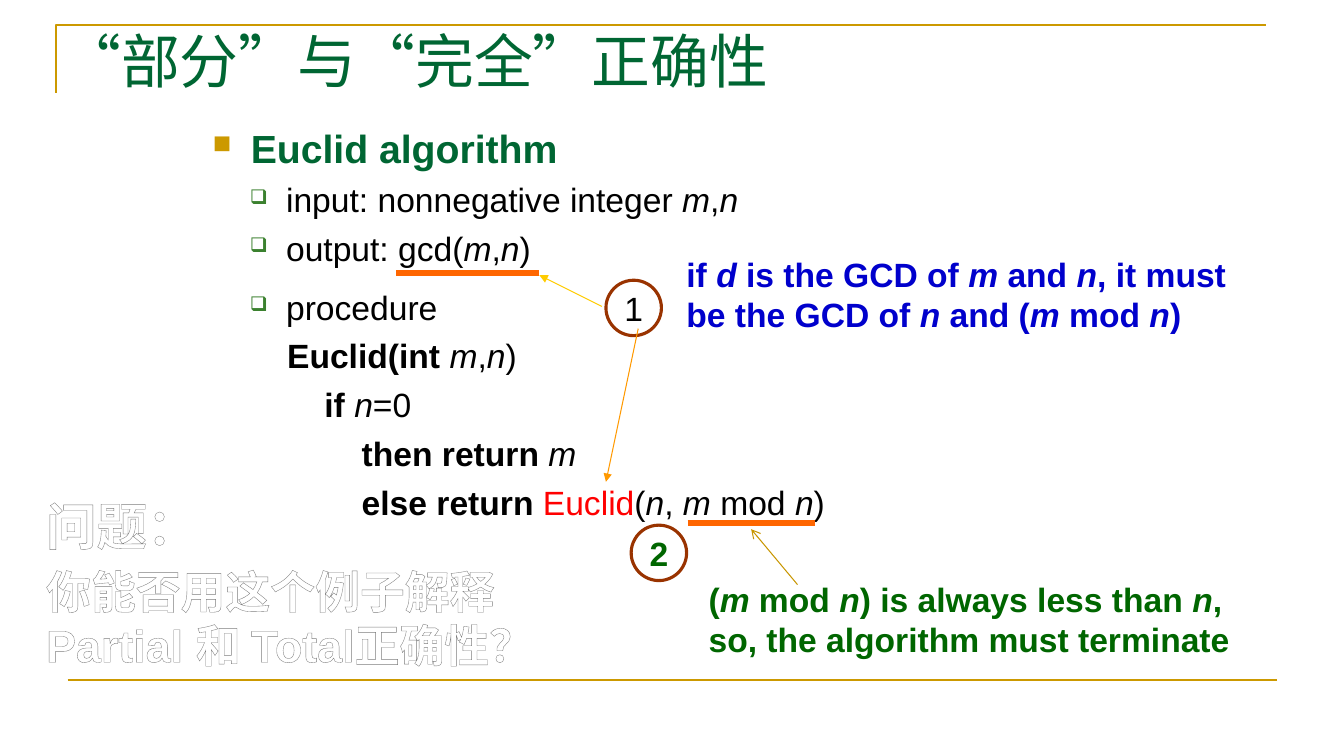
"""Builds a slide on partial and total correctness of Euclid's algorithm."""
from pptx import Presentation
from pptx import util as u
from pptx.dml import color
from pptx.enum import lang, shapes, text
from pptx.oxml import parse_xml
from pptx.oxml import ns

GOLD, ORANGE, BROWN = "CC9900", "FF6600", "993300"
TITLE_GREEN, NOTE_GREEN, NOTE_BLUE = "006633", "006600", "0000CC"
BLACK, RED, WHITE = "000000", "FF0000", "FFFFFF"
LEVEL1 = dict(bullet="❑", bullet_color="3B812F", bullet_size=60, left=0.73, hang=0.36)


def rgb(hex_color):
    """Return the colour for a hex string."""
    return color.RGBColor.from_string(hex_color)


def xml(tag, attrs="", inner=""):
    """Return a DrawingML element."""
    return parse_xml(f'<a:{tag} {ns.nsdecls("a")} {attrs}>{inner}</a:{tag}>')


def add_text(p, content, size=24, hex_color=BLACK, bold=False, font="Arial", chinese=False):
    """Add runs to a paragraph, with asterisks switching italics; return the runs."""
    runs = []
    for i, part in enumerate(content.split("*")):
        if not part:
            continue
        r = p.add_run()
        r.text = part
        r.font.size, r.font.name = u.Pt(size), font
        r.font.bold, r.font.italic = bold, i % 2 == 1
        r.font.color.rgb = rgb(hex_color)
        if chinese:
            r.font.language_id = lang.MSO_LANGUAGE_ID.SIMPLIFIED_CHINESE
        runs.append(r)
    return runs


def add_box(group, x, y, w, h, anchor=text.MSO_ANCHOR.TOP):
    """Add a wrapping text box and return its text frame."""
    tf = group.add_textbox(u.Inches(x), u.Inches(y), u.Inches(w), u.Inches(h)).text_frame
    tf.word_wrap = True
    tf.vertical_anchor = anchor
    return tf


def add_paragraph(tf, before=0):
    """Return the next paragraph, using the empty first one if it is free."""
    first = tf.paragraphs[0]
    p = tf.add_paragraph() if first.runs else first
    p.space_before = u.Pt(before)
    return p


def indent(p, left, hang=0, bullet=None, bullet_color=None, bullet_size=100):
    """Set the indents of a paragraph and its optional bullet."""
    pr = p._p.get_or_add_pPr()
    pr.set("marL", str(u.Inches(left)))
    pr.set("indent", str(-u.Inches(hang)))
    if bullet:
        pr.append(xml("buClr", inner=f'<a:srgbClr val="{bullet_color}"/>'))
        pr.append(xml("buSzPct", f'val="{bullet_size * 1000}"'))
        pr.append(xml("buChar", f'char="{bullet}"'))


def add_line(group, x1, y1, x2, y2, hex_color, width, head=None):
    """Add a straight line with an optional arrowhead at its end."""
    c = group.add_connector(shapes.MSO_CONNECTOR.STRAIGHT, u.Inches(x1), u.Inches(y1),
                            u.Inches(x2), u.Inches(y2))
    c.line.color.rgb = rgb(hex_color)
    c.line.width = u.Pt(width)
    if head:
        c.line._get_or_add_ln().append(xml("tailEnd", f'type="{head}"'))
    c._element.spPr.append(xml("effectLst"))


def add_corner(s):
    """Add the open corner rule around the title."""
    fb = s.shapes.build_freeform(u.Inches(0.56), u.Inches(0.92))
    fb.add_line_segments([(u.Inches(0.56), u.Inches(0.25)),
                          (u.Inches(12.56), u.Inches(0.25))], close=False)
    sp = fb.convert_to_shape()
    sp.fill.background()
    sp.line.color.rgb = rgb(GOLD)
    sp.line.width = u.Pt(1.5)
    sp.shadow.inherit = False


def add_marker(group, x, y, number, **fmt):
    """Add a numbered ring."""
    sp = group.add_shape(shapes.MSO_SHAPE.OVAL, u.Inches(x), u.Inches(y),
                         u.Inches(0.55), u.Inches(0.55))
    sp.fill.background()
    sp.line.color.rgb = rgb(BROWN)
    sp.line.width = u.Pt(2.25)
    sp.shadow.inherit = False
    tf = sp.text_frame
    tf.margin_left = tf.margin_right = tf.margin_top = tf.margin_bottom = 0
    tf.word_wrap = False
    tf.vertical_anchor = text.MSO_ANCHOR.MIDDLE
    tf.paragraphs[0].alignment = text.PP_ALIGN.CENTER
    add_text(tf.paragraphs[0], number, **fmt)


def add_note(group, x, y, content, hex_color):
    """Add a bold remark."""
    tf = add_box(group, x, y, 5.64, 0.91)
    add_text(add_paragraph(tf), content, hex_color=hex_color, bold=True)


def add_algorithm(s):
    """Add the bulleted description and the indented procedure."""
    tf = add_box(s.shapes, 2.01, 1.18, 10.33, 4.5)
    p = add_paragraph(tf, 3)
    indent(p, 0.38, 0.38, "■", GOLD, 65)
    add_text(p, "Euclid algorithm", size=28, hex_color=TITLE_GREEN, bold=True)
    for content, before in (("input: nonnegative integer *m*,*n*", 6),
                            ("output: gcd(*m*,*n*)", 6), ("procedure", 13)):
        p = add_paragraph(tf, before)
        indent(p, **LEVEL1)
        add_text(p, content)
    code = [(0, "Euclid(int ", "", "*m*,*n*)"),
            (1, "if ", "", "*n*=0"),
            (2, "then return ", "", "*m*"),
            (2, "else return ", "Euclid", "(*n*, *m* mod *n*)")]
    for depth, keyword, call, rest in code:
        p = add_paragraph(tf, 6)
        indent(p, 0.74 + 0.37 * depth)
        add_text(p, keyword, bold=True)
        add_text(p, call, hex_color=RED)
        add_text(p, rest)


def outline(r):
    """Give a run a grey outline and a white-grey-white gradient fill."""
    stops = "".join(f'<a:gs pos="{pos * 1000}"><a:srgbClr val="{c}"/></a:gs>' for pos, c in
                    ((0, WHITE), (9, WHITE), (50, "7F7F7F"), (79, WHITE), (100, WHITE)))
    pr = r.font._element
    pr.remove(pr.find(ns.qn("a:solidFill")))
    pr.insert(0, xml("ln", f'w="{u.Pt(0.83)}"',
                     '<a:solidFill><a:srgbClr val="7D7D7D"/></a:solidFill>'))
    pr.insert(1, xml("gradFill", inner=f'<a:gsLst>{stops}</a:gsLst><a:lin ang="5400000"/>'))


def add_question(s):
    """Add the outlined question."""
    tf = add_box(s.shapes, 0.36, 4.86, 4.96, 1.87)
    for content, size, before in (("问题：", 36, 0),
                                  ("你能否用这个例子解释Partial 和 Total正确性？", 32, 6)):
        p = add_paragraph(tf, before)
        for r in add_text(p, content, size=size, bold=True, chinese=True):
            outline(r)


def main():
    """Build and save the slide."""
    prs = Presentation()
    prs.slide_width, prs.slide_height = u.Inches(13.33), u.Inches(7.5)
    s = prs.slides.add_slide(prs.slide_layouts[6])
    add_corner(s)
    add_line(s.shapes, 0.67, 6.75, 12.67, 6.75, GOLD, 1.5)
    title = add_box(s.shapes, 0.52, 0.17, 9, 0.85, text.MSO_ANCHOR.MIDDLE)
    add_text(add_paragraph(title), "“部分”与“完全”正确性", size=42,
             hex_color=TITLE_GREEN, font="Times New Roman", chinese=True)
    add_algorithm(s)

    partial = s.shapes.add_group_shape().shapes
    add_marker(partial, 6.01, 2.78, "1")
    add_line(partial, 3.93, 2.71, 5.35, 2.71, ORANGE, 4.5)
    add_line(partial, 5.97, 3.04, 5.35, 2.73, "FFCC00", 0.75, "triangle")
    add_note(partial, 6.71, 2.47, "if *d* is the GCD of *m* and *n*, it must be the GCD of "
             "*n* and (*m* mod *n*)", NOTE_BLUE)
    add_line(partial, 6.33, 3.26, 6.01, 4.78, "FF9900", 0.75, "triangle")

    total = s.shapes.add_group_shape().shapes
    add_marker(total, 6.26, 5.21, "2", hex_color=NOTE_GREEN, bold=True)
    add_note(total, 6.93, 5.69, "(*m* mod *n*) is always less than *n*, so, the algorithm "
             "must terminate", NOTE_GREEN)
    add_line(total, 6.82, 5.19, 8.08, 5.19, ORANGE, 4.5)
    add_line(total, 7.91, 5.8, 7.45, 5.25, "C89600", 0.75, "arrow")
    add_question(s)
    prs.save("out.pptx")


if __name__ == "__main__":
    main()
